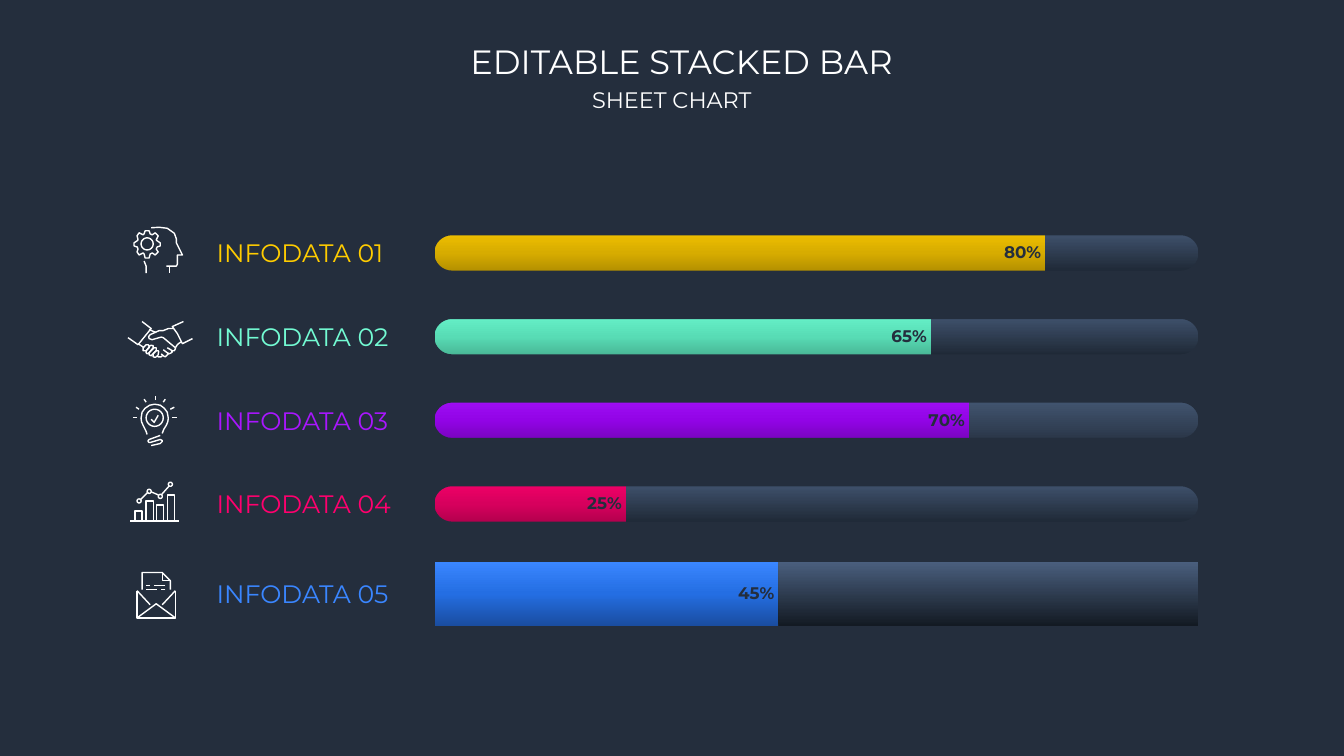
"""Build a dark slide with five stacked percentage bars, their labels and line icons."""
from math import cos, pi, sin

from lxml.etree import SubElement
from pptx import Presentation
from pptx.chart.data import CategoryChartData
from pptx.dml.color import RGBColor
from pptx.enum.chart import XL_CHART_TYPE as ChartType, XL_LABEL_POSITION as LabelPos
from pptx.enum.text import MSO_ANCHOR as Anchor, MSO_AUTO_SIZE as AutoSize, PP_ALIGN as Align
from pptx.oxml.ns import qn
from pptx.util import Pt

FONT = "Montserrat"
NAVY = "242E3D"
WHITE = "FFFFFF"
ICON_UNIT = 0.72


def color(code):
    return RGBColor.from_string(code)


def add_outline(contours):
    builder = None
    for contour in contours:
        points = [(Pt(x), Pt(y)) for x, y in contour]
        if builder is None:
            builder = slide.shapes.build_freeform(*points[0], scale=1.0)
        else:
            builder.move_to(*points[0])
        builder.add_line_segments(points[1:], close=contour[0] == contour[-1])
    outline = builder.convert_to_shape()
    outline.shadow.inherit = False
    return outline


prs = Presentation()
prs.slide_width, prs.slide_height = Pt(960), Pt(540)
slide = prs.slides.add_slide(prs.slide_layouts[5])
slide.background.fill.solid()
slide.background.fill.fore_color.rgb = color(NAVY)

TRACK = ("131A23", "4A5F7E")
rows = [
    (180.7, 0.80, "FFCC00", ("977900", "D7AC00", "FFCC00"), TRACK),
    (240.5, 0.65, "73FBD3", ("3E9B7F", "58DCB5", "6FFFD5"), TRACK),
    (300.2, 0.70, "A916FF", ("6703A1", "9204E6", "A916FF"), ("222C3A", "4A5F7E")),
    (360.0, 0.25, "FF006E", ("970041", "D7005D", "FF006E"), TRACK),
    (424.1, 0.45, "3A86FF", ("1A4DA0", "246EE3", "3A86FF"), TRACK),
]

for middle, share, _, bar_stops, track_stops in reversed(rows):
    data = CategoryChartData(number_format="0%")
    data.categories = ["1"]
    data.add_series("Series 1", [share])
    data.add_series("Series 2", [round(1 - share, 2)])
    chart = slide.shapes.add_chart(ChartType.BAR_STACKED_100, Pt(299.5), Pt(middle - 59.76),
                                   Pt(567.4), Pt(119.5), data).chart
    chart.has_legend = chart.has_title = False
    chart.font.name, chart.font.size = FONT, Pt(10)
    chart.font.color.rgb = color(WHITE)
    chart.value_axis.has_major_gridlines = False
    chart.value_axis.visible = chart.category_axis.visible = False
    plot = chart.plots[0]
    plot.gap_width, plot.overlap, plot.vary_by_categories = 150, 100, False
    for series, stops in zip(plot.series, (bar_stops, track_stops)):
        series.invert_if_negative = False
        series.format.fill.gradient()
        series.format.fill.gradient_angle = 90
        stop_list = series._element.find(".//" + qn("a:gsLst"))
        for default_stop in list(stop_list):
            stop_list.remove(default_stop)
        for i, code in enumerate(stops):
            stop = SubElement(stop_list, qn("a:gs"), pos=str(100000 * i // (len(stops) - 1)))
            SubElement(stop, qn("a:srgbClr"), val=code)
    labels = plot.series[0].data_labels
    labels.show_value = True
    labels.position = LabelPos.INSIDE_END
    labels.number_format, labels.number_format_is_linked = "0%", False
    labels.font.name, labels.font.size, labels.font.bold = FONT, Pt(12), True
    labels.font.color.rgb = color(NAVY)

LEFT, RIGHT, RADIUS, MARGIN = 310.2, 856.2, 12.6, 33.5
for middle, *_ in rows[:4]:
    top, bottom = middle - MARGIN, middle + MARGIN
    frame = [(LEFT, top), (RIGHT, top), (RIGHT, bottom), (LEFT, bottom), (LEFT, top)]
    pill = []
    for center, start in ((RIGHT - RADIUS, -pi / 2), (LEFT + RADIUS, pi / 2)):
        for step in range(17):
            angle = start + pi * step / 16
            pill.append((center + RADIUS * cos(angle), middle + RADIUS * sin(angle)))
    mask = add_outline([frame, pill + pill[:1]])
    mask.fill.solid()
    mask.fill.fore_color.rgb = color(NAVY)
    mask.line.fill.background()

head_with_gear = (
    "150 226,158 225.5,166 226.5,173 231.5,175 237,175 241,181 253,176 253,176 262,175 264,"
    "173 264,165 264/168 264,168 271/145 271,145 264,143 259/"
    "159 244,159 241,156 239,155 238,157 234,154 231,151 233,149 232,148 229,144 229,143 232,"
    "142 233,138 231,136 234,137 238,136 239,133 241,133 244,136 245,137 247,136 250,138 253,"
    "142 251,143 252,144 256,148 256,149 252,151 251,154 253,157 250,155 247,156 245,159 244",
    [(146, 242, 6)])
handshake = (
    "144 348,142 348,142 345,145 342,147 342,148 343,148 345,145 348,144 348/"
    "166 345,171 348,173 348,174 346,174 345/162 347,166 350,168 351,170 350,171 349,170 348/"
    "160 351,162 353,164 354,165 353,167 351,166 350/156 353,157 354,160 354,161 353,162 352/"
    "148 350,152 345,152 343,150 342.5,149 343,145 348,145 350,146 351,148 350/"
    "151 352,155 348,155 345,153 345,148 350,148 352,150 353,151 352/"
    "157 352,157 351,157.5 349,157 348,155 348,152 351,152 354,154 354.5,155 354,157 352/"
    "182 319,171 324,176 331,181 341,191 336/"
    "172 326,167 326,162 328,158 328,149 332,147.5 334,148 336,151 337,158 335,160 334.5,"
    "162 335,168 340,174 345/180 339,177 341,176 342,174 345/"
    "127 335,137 342,150 326,141 319/137 341,143 345/155 330,148 327",
    [])
light_bulb = (
    "146 431,145 428,142 422,140.5 418.5,140 415,141 409,144 405,148.5 402,153.5 401,159 402,"
    "163 405,166 409,167 415,166.5 418.5,165 422,162.5 426,161 430/150 416,153 419,157 412/"
    "154 397,154 393/145 399,143 396/135 404,138 406/132 414,136 414/164 396,162 399/"
    "173 404,169 406/171 414,176 414/"
    "159 432,148 436,147 437,147 438,148 439,149 439,159 436,161 437,161 438,159 440,150 442",
    [(153.5, 414.5, 8.5)])
growth_chart = (
    "129 517,178 517/134 517,134 507,141 507,141 517/145 517,145 497,152 497,152 517/"
    "155 517,155 501,162 501,162 517/166 517,166 491,173 491,173 517/"
    "160 491,168 482/150 488,157 491/147 488,139 496",
    [(138, 497, 2), (148, 487.5, 2), (159, 492.5, 2), (169, 480.5, 2)])
open_letter = (
    "174 586,174 613,136 613,136 586/174 613,155 599,136 613/174 586,161 600/136 586,149 600/"
    "169 585,169 576,161 568,141 568,141 585/161 568,161 576,169 576/149 581,145 581/"
    "164 581,153 581/145 585,156 585/164 585,160 585",
    [])

for strokes, rings in (head_with_gear, handshake, light_bulb, growth_chart, open_letter):
    contours = [[tuple(float(n) * ICON_UNIT for n in point.split()) for point in stroke.split(",")]
                for stroke in strokes.split("/")]
    for x, y, radius in rings:
        ring = [((x + radius * cos(pi * step / 12)) * ICON_UNIT,
                 (y + radius * sin(pi * step / 12)) * ICON_UNIT) for step in range(24)]
        contours.append(ring + ring[:1])
    icon = add_outline(contours)
    icon.fill.background()
    icon.line.color.rgb = color(WHITE)
    icon.line.width = Pt(1)

texts = [("EDITABLE STACKED BAR", 322.6, 25.9, 328.3, 36, 24, WHITE, Align.CENTER),
         ("SHEET CHART", 414, 58.3, 131.8, 26.6, 16, WHITE, Align.CENTER)]
for number, (middle, _, tint, *_) in enumerate(rows, 1):
    texts.append((f"INFODATA {number:02}", 147.6, middle - 14.4, 140, 28.8, 18, tint, Align.LEFT))

for i, (wording, left, top, width, height, size, tint, align) in enumerate(texts):
    box = slide.shapes.title if i == 0 else slide.shapes.add_textbox(0, 0, 0, 0)
    box.left, box.top, box.width, box.height = Pt(left), Pt(top), Pt(width), Pt(height)
    frame = box.text_frame
    frame.text = wording
    frame.word_wrap = False
    frame.auto_size = AutoSize.SHAPE_TO_FIT_TEXT
    frame.vertical_anchor = Anchor.TOP
    paragraph = frame.paragraphs[0]
    paragraph.alignment = align
    font = paragraph.runs[0].font
    font.name, font.size = FONT, Pt(size)
    font.color.rgb = color(tint)

prs.save("out.pptx")
